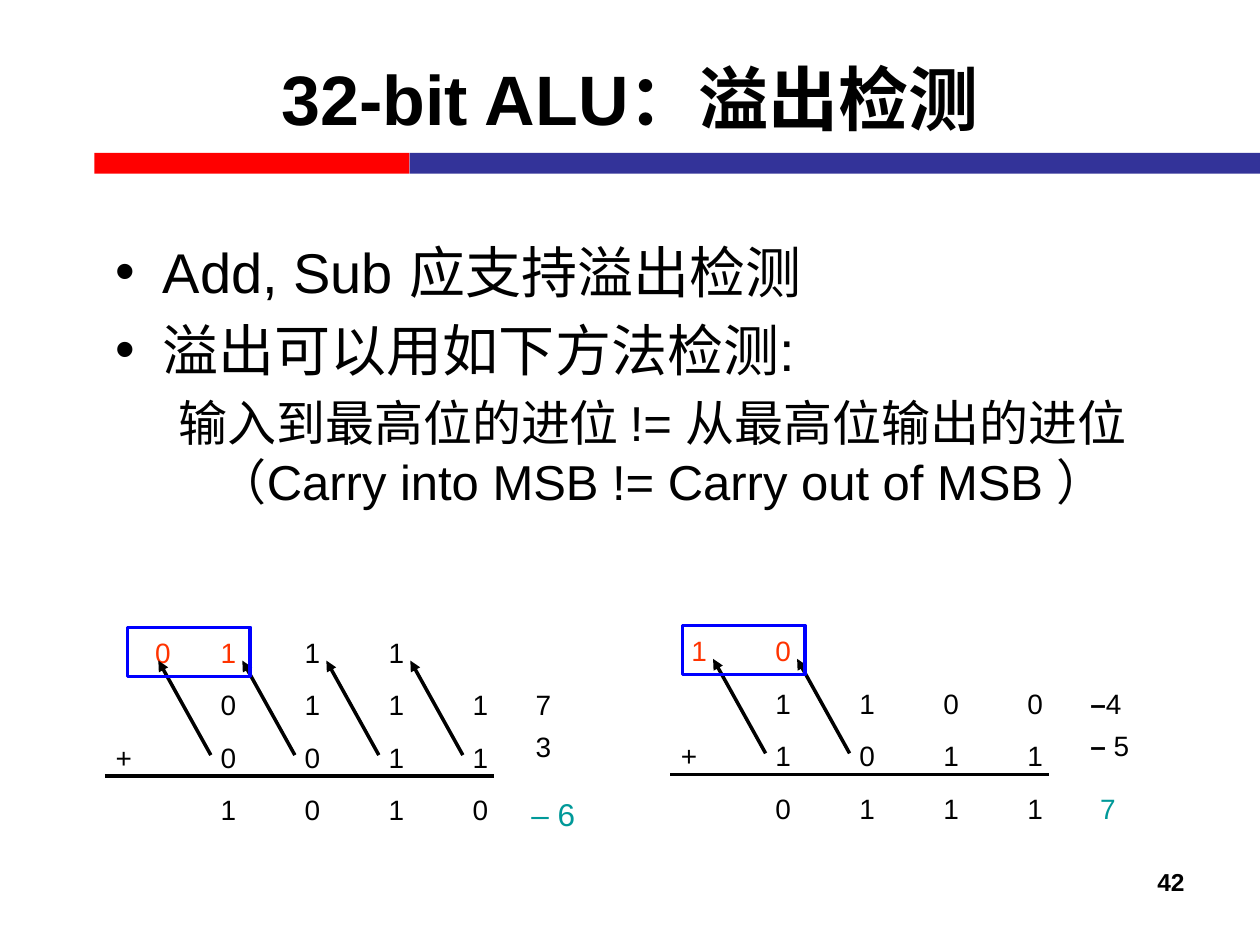
from lxml import etree
from pptx import Presentation
from pptx.dml.color import RGBColor
from pptx.enum import shapes, text
from pptx.oxml import ns
from pptx.util import Pt

COLORS = {
    "ink": "000000", "red": "FF0000", "navy": "333399",
    "carry": "FF3300", "frame": "0000FF", "result": "009999",
}
FONT = "Arial"
COLUMN, ROW = 48, 30
DIGIT_WIDTH = 23


def rgb(name):
    return RGBColor.from_string(COLORS[name])


def add_span(para, words, size, color="ink", bold=False):
    span = para.add_run()
    span.text = words
    span.font.name = FONT
    span.font.size = Pt(size)
    span.font.bold = bold
    span.font.color.rgb = rgb(color)


def add_label(page, left, top, spans, width=DIGIT_WIDTH, size=16, color="ink"):
    """Place one unwrapped line; spans is a list of (words, bold)."""
    box = page.shapes.add_textbox(Pt(left), Pt(top), Pt(width), Pt(size * 1.2 + 7.2))
    box.text_frame.word_wrap = False
    box.text_frame.auto_size = text.MSO_AUTO_SIZE.SHAPE_TO_FIT_TEXT
    for words, bold in spans:
        add_span(box.text_frame.paragraphs[0], words, size, color, bold)


def add_rect(page, left, top, width, height, fill=None, line=None):
    rect = page.shapes.add_shape(
        shapes.MSO_SHAPE.RECTANGLE, Pt(left), Pt(top), Pt(width), Pt(height))
    rect.shadow.inherit = False
    if fill:
        rect.fill.solid()
        rect.fill.fore_color.rgb = rgb(fill)
    else:
        rect.fill.background()
    if line:
        rect.line.color.rgb = rgb(line)
        rect.line.width = Pt(2)
    else:
        rect.line.fill.background()


def add_line(page, x1, y1, x2, y2, arrow=False):
    line = page.shapes.add_connector(
        shapes.MSO_CONNECTOR.STRAIGHT, Pt(x1), Pt(y1), Pt(x2), Pt(y2))
    line.line.color.rgb = rgb("ink")
    line.line.width = Pt(2)
    if arrow:
        etree.SubElement(line.line._get_or_add_ln(), ns.qn("a:tailEnd"), type="triangle")
    etree.SubElement(line._element.spPr, ns.qn("a:effectLst"))


def add_heading(page, left, top, width, height):
    title = page.shapes.title
    title.left, title.top = Pt(left), Pt(top)
    title.width, title.height = Pt(width), Pt(height)
    title.text_frame.vertical_anchor = text.MSO_ANCHOR.MIDDLE
    para = title.text_frame.paragraphs[0]
    para.alignment = text.PP_ALIGN.CENTER
    add_span(para, "32-bit ALU：溢出检测", 40, bold=True)


def add_title_bar(page, left, top, width, height):
    red_width = 180
    add_rect(page, left, top, red_width, height, fill="red")
    add_rect(page, left + red_width, top, width - red_width, height, fill="navy")


def add_body(page, left, top, width, height):
    box = page.shapes.add_textbox(Pt(left), Pt(top), Pt(width), Pt(height))
    frame = box.text_frame
    frame.word_wrap = True
    lines = [
        ("Add, Sub 应支持溢出检测", 0, 32, 27, -27),
        ("溢出可以用如下方法检测:", 0, 32, 27, -27),
        ("输入到最高位的进位 != 从最高位输出的进位"
         "（Carry into MSB != Carry out of MSB ）", 1, 28, 58.5, -22.5),
    ]
    for index, (words, level, size, margin, indent) in enumerate(lines):
        para = frame.add_paragraph() if index else frame.paragraphs[0]
        para.level = level
        if index:
            para.space_before = Pt(size * 0.2)
        props = para._p.get_or_add_pPr()
        props.set("marL", str(Pt(margin)))
        props.set("indent", str(Pt(indent)))
        if level:
            etree.SubElement(props, ns.qn("a:buNone"))
        else:
            etree.SubElement(props, ns.qn("a:buFont"), typeface=FONT)
            etree.SubElement(props, ns.qn("a:buChar"), char="•")
        add_span(para, words, size)


def add_sum(page, left, top, carries, carry_out_x, rows, sign_x):
    """Binary addition; left and top mark the carry into the highest bit."""
    add_label(page, left + carry_out_x, top, [(carries[0], False)], color="carry")
    for column, digit in enumerate(carries[1:]):
        add_label(page, left + column * COLUMN, top, [(digit, False)],
                  color="ink" if column else "carry")
    for row, digits in enumerate(rows, start=1):
        for column, digit in enumerate(digits):
            add_label(page, left + column * COLUMN, top + row * ROW, [(digit, False)])
    add_label(page, left + sign_x, top + 2 * ROW, [("+", False)], width=24)
    add_line(page, left + sign_x + 1, top + 84, left + 163.5, top + 84)
    for column in range(len(carries)):
        x = left + column * COLUMN
        add_line(page, x + 1.5, top + 72, x - 28.5, top + 18, arrow=True)
    add_rect(page, left - 46, top - 1, 70, 28, line="frame")


def add_decimals(page, left, top, first, second):
    """Decimal operands beside a sum; each is (spans, width)."""
    for offset, (spans, width) in zip((0, 24), (first, second)):
        add_label(page, left, top + offset, spans, width)


def add_page_number(page, left, top, width, height):
    box = page.shapes.add_textbox(Pt(left), Pt(top), Pt(width), Pt(height))
    box.text_frame.word_wrap = True
    para = box.text_frame.paragraphs[0]
    para.alignment = text.PP_ALIGN.RIGHT
    add_span(para, "42", 14, bold=True)


def main():
    deck = Presentation()
    deck.slide_width, deck.slide_height = Pt(720), Pt(540)
    page = deck.slides.add_slide(deck.slide_layouts[5])
    add_title_bar(page, 54, 87.3, 666, 12)
    add_heading(page, 36, 10.8, 648, 90)
    add_body(page, 59, 132, 612, 129)

    add_sum(page, 119, 359.5, "0111", -37.5, ("0111", "0011", "1010"), -60)
    add_decimals(page, 299, 389.5, ([("7", False)], 23), ([("3", False)], 23))
    add_label(page, 296.5, 451, [("– 6", False)], 39.5, 18, "result")

    add_sum(page, 436, 358.5, "10", -48, ("1100", "1011", "0111"), -54)
    add_decimals(page, 616, 388.5, ([("–", True), ("4", False)], 32.5),
                 ([("–", True), (" 5", False)], 36.5))
    add_label(page, 621.5, 448.5, [("7", False)], color="result")

    add_page_number(page, 516, 492, 168, 37.5)
    deck.save("out.pptx")


if __name__ == "__main__":
    main()
